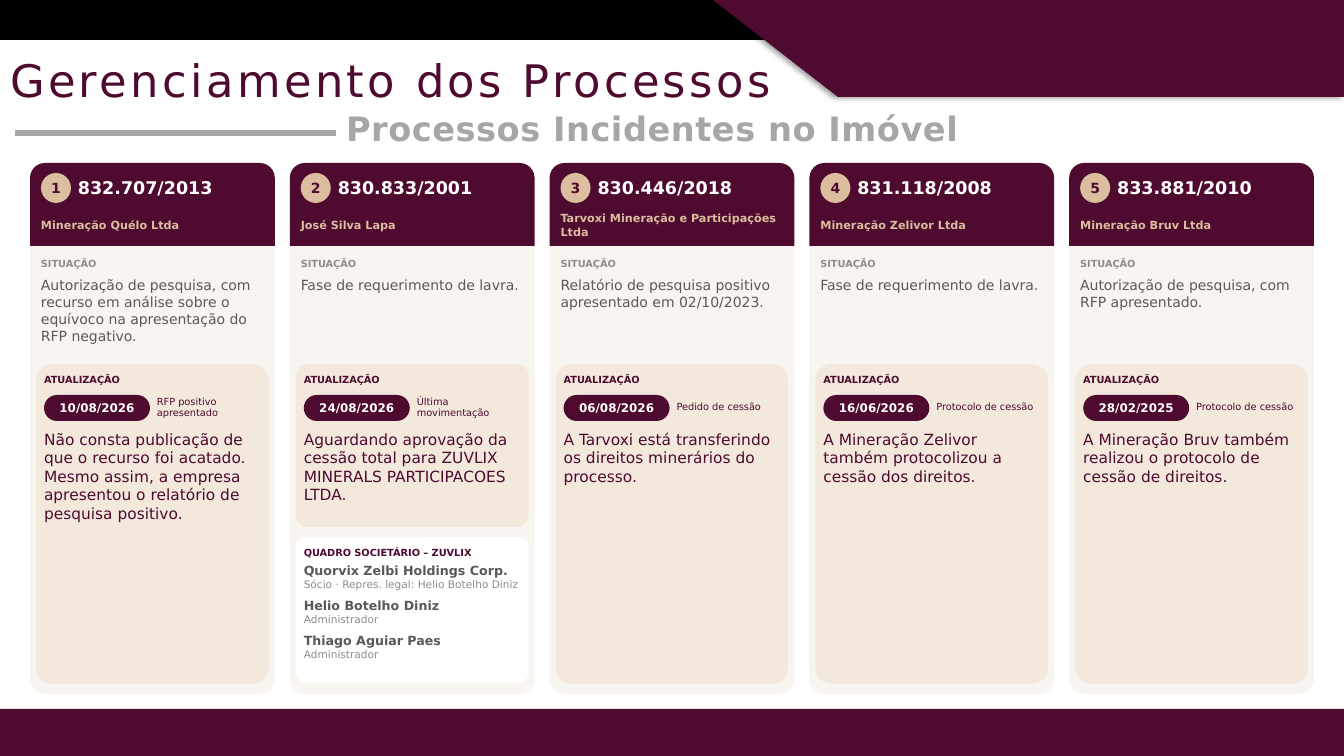
"""Builds the slide on mining processes that affect the property."""
from lxml import etree
from pptx import Presentation
from pptx.dml.color import RGBColor
from pptx.enum.shapes import MSO_CONNECTOR, MSO_SHAPE
from pptx.enum.text import MSO_ANCHOR, PP_ALIGN
from pptx.oxml import parse_xml
from pptx.oxml.ns import nsdecls, qn
from pptx.util import Pt

RECT, ROUND, OVAL = MSO_SHAPE.RECTANGLE, MSO_SHAPE.ROUNDED_RECTANGLE, MSO_SHAPE.OVAL
HEAD = MSO_SHAPE.ROUND_2_SAME_RECTANGLE
STRAIGHT = MSO_CONNECTOR.STRAIGHT
TOP, MIDDLE = MSO_ANCHOR.TOP, MSO_ANCHOR.MIDDLE
LEFT, CENTER = PP_ALIGN.LEFT, PP_ALIGN.CENTER

FONT = "DejaVu Sans"
WINE, TAN, CREAM, SAND = "4F0A2F", "DBBE9F", "F8F5F1", "F3E8DC"
BLACK, WHITE, INK, GRAY, SILVER = "000000", "FFFFFF", "595959", "8C8C8C", "A6A6A6"

TITLE = "Gerenciamento dos Processos"
SUBTITLE = "Processos Incidentes no Imóvel"
CARDS = [
    ("832.707/2013", "Mineração Quélo Ltda",
     "Autorização de pesquisa, com recurso em análise sobre o equívoco na apresentação do RFP negativo.",
     "10/08/2026", "RFP positivo apresentado",
     "Não consta publicação de que o recurso foi acatado. Mesmo assim, a empresa "
     "apresentou o relatório de pesquisa positivo."),
    ("830.833/2001", "José Silva Lapa", "Fase de requerimento de lavra.",
     "24/08/2026", "Última movimentação",
     "Aguardando aprovação da cessão total para ZUVLIX MINERALS PARTICIPACOES LTDA."),
    ("830.446/2018", "Tarvoxi Mineração e Participações Ltda",
     "Relatório de pesquisa positivo apresentado em 02/10/2023.",
     "06/08/2026", "Pedido de cessão",
     "A Tarvoxi está transferindo os direitos minerários do processo."),
    ("831.118/2008", "Mineração Zelivor Ltda", "Fase de requerimento de lavra.",
     "16/06/2026", "Protocolo de cessão",
     "A Mineração Zelivor também protocolizou a cessão dos direitos."),
    ("833.881/2010", "Mineração Bruv Ltda", "Autorização de pesquisa, com RFP apresentado.",
     "28/02/2025", "Protocolo de cessão",
     "A Mineração Bruv também realizou o protocolo de cessão de direitos."),
]
OWNED = 1
OWNERS = [
    ("Quorvix Zelbi Holdings Corp.", "Sócio · Repres. legal: Helio Botelho Diniz"),
    ("Helio Botelho Diniz", "Administrador"),
    ("Thiago Aguiar Paes", "Administrador"),
]
BOARD = "QUADRO SOCIETÁRIO – ZUVLIX"

WIDTH, HEIGHT = 1344, 756
SCALE = 12192000 / WIDTH
MARGIN, GAP = 30, 15
CARD = (WIDTH - 2 * MARGIN - (len(CARDS) - 1) * GAP) / len(CARDS)


def px(n):
    return round(n * SCALE)


def color(code):
    return RGBColor.from_string(code)


def write(para, text, size, ink, bold=False, align=LEFT, after=0, track=0, lines=None):
    para.text = text
    para.alignment = align
    para.space_after = Pt(after)
    if lines:
        para.line_spacing = lines
    font = para.font
    font.name, font.size, font.bold = FONT, Pt(size), bold
    font.color.rgb = color(ink)
    if track:
        para.runs[0]._r.get_or_add_rPr().set("spc", str(track))


def setup(shape, anchor, inset=0):
    frame = shape.text_frame
    frame.word_wrap = True
    frame.vertical_anchor = anchor
    frame.margin_left = frame.margin_right = px(inset)
    frame.margin_top = frame.margin_bottom = px(inset)
    return frame


def paint(shape, fill):
    shape.shadow.inherit = False
    shape.fill.solid()
    shape.fill.fore_color.rgb = color(fill)
    shape.line.fill.background()


def block(kind, x, y, w, h, fill, *adjust):
    shape = slide.shapes.add_shape(kind, px(x), px(y), px(w), px(h))
    paint(shape, fill)
    for i, value in enumerate(adjust):
        shape.adjustments[i] = value
    return shape


def label(x, y, w, h, text, size, ink, bold=False, anchor=TOP, inset=0, **style):
    box = slide.shapes.add_textbox(px(x), px(y), px(w), px(h))
    write(setup(box, anchor, inset).paragraphs[0], text, size, ink, bold, **style)
    return box


def badge(shape, text, size, ink):
    write(setup(shape, MIDDLE).paragraphs[0], text, size, ink, True, CENTER)


def banner():
    block(RECT, 0, 0, 836, 40, BLACK)
    path = slide.shapes.build_freeform(713, 0, scale=SCALE)
    path.add_line_segments([(WIDTH, 0), (WIDTH, 97), (838, 97)])
    flag = path.convert_to_shape()
    paint(flag, WINE)
    effects = flag._element.spPr.find(qn("a:effectLst"))
    effects.append(parse_xml(
        f'<a:outerShdw {nsdecls("a")} blurRad="{Pt(4)}" dist="{Pt(3)}" dir="10800000">'
        f'<a:srgbClr val="{BLACK}"><a:alpha val="40000"/></a:srgbClr></a:outerShdw>'))
    block(RECT, 0, 709, WIDTH, 47, WINE)
    label(0, 16, 800, 91, TITLE, 32, WINE, inset=10, track=240, lines=1.5)
    sub = label(336, 106, 650, 54, SUBTITLE, 24, SILVER, True, inset=10, track=40, lines=0.8)
    rule = slide.shapes.add_connector(STRAIGHT, px(15), px(133), px(336), px(133))
    rule.end_connect(sub, 1)
    rule.line.color.rgb = color(SILVER)
    rule.line.width = Pt(4.5)
    etree.SubElement(rule._element.spPr, qn("a:effectLst"))


def owners(x, w):
    block(ROUND, x + 6, 537, w, 146, WHITE, 0.07)
    box = label(x + 14, 547, w - 16, 136, BOARD, 7, WINE, True, after=3)
    for name, role in OWNERS:
        write(box.text_frame.add_paragraph(), name, 9, INK, True)
        write(box.text_frame.add_paragraph(), role, 7.5, GRAY, after=5)


def card(i, number, holder, status, date, note, update):
    x = MARGIN + i * (CARD + GAP)
    wide, inner = CARD - 22, CARD - 12
    tall = 163 if i == OWNED else 320
    block(ROUND, x, 163, CARD, 531, CREAM, 0.06)
    block(HEAD, x, 163, CARD, 83, WINE, 0.18, 0)
    badge(block(OVAL, x + 11, 173, 30, 30, TAN), str(i + 1), 10, WINE)
    label(x + 48, 173, 185, 30, number, 12.5, WHITE, True, MIDDLE)
    label(x + 11, 208, wide, 34, holder, 8, TAN, True, MIDDLE)
    label(x + 11, 258, wide, 16, "SITUAÇÃO", 7, GRAY, True)
    label(x + 11, 277, wide, 85, status, 10, INK)
    block(ROUND, x + 6, 364, inner, tall, SAND, 0.07)
    label(x + 14, 374, inner - 16, 16, "ATUALIZAÇÃO", 7, WINE, True)
    badge(block(ROUND, x + 14, 395, 106, 26, WINE, 0.5), date, 8.5, WHITE)
    label(x + 127, 391, 104, 32, note, 7, WINE, anchor=MIDDLE)
    label(x + 14, 430, inner - 16, tall - 71, update, 11, WINE)
    if i == OWNED:
        owners(x, inner)


deck = Presentation()
deck.slide_width, deck.slide_height = px(WIDTH), px(HEIGHT)
slide = deck.slides.add_slide(deck.slide_layouts[6])
banner()
for i, row in enumerate(CARDS):
    card(i, *row)
deck.save("out.pptx")
